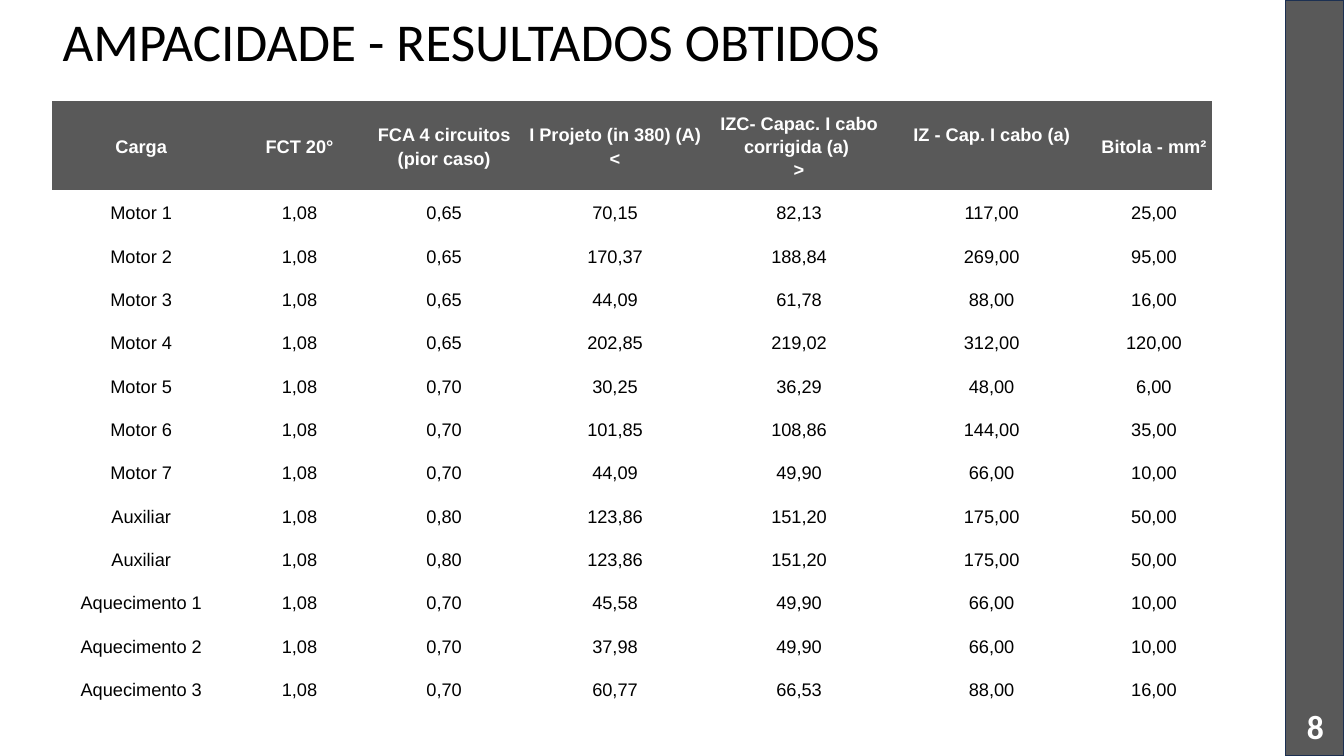
from dataclasses import dataclass

from pptx import Presentation
from pptx.dml.color import RGBColor
from pptx.enum.shapes import MSO_SHAPE
from pptx.enum.text import MSO_ANCHOR, MSO_AUTO_SIZE, PP_ALIGN
from pptx.oxml.ns import qn
from pptx.util import Inches, Pt

# Content
TITLE = "AMPACIDADE - RESULTADOS OBTIDOS"
PAGE = "8"
HEADER = [
    "Carga", "FCT 20°", "FCA 4 circuitos (pior caso)", "I Projeto (in 380) (A) <",
    "IZC- Capac. I cabo corrigida (a) \n>", "IZ - Cap. I cabo (a)", "Bitola - mm²",
]
LOADS = [
    ("Motor 1", "1,08", "0,65", "70,15", "82,13", "117,00", "25,00"),
    ("Motor 2", "1,08", "0,65", "170,37", "188,84", "269,00", "95,00"),
    ("Motor 3", "1,08", "0,65", "44,09", "61,78", "88,00", "16,00"),
    ("Motor 4", "1,08", "0,65", "202,85", "219,02", "312,00", "120,00"),
    ("Motor 5", "1,08", "0,70", "30,25", "36,29", "48,00", "6,00"),
    ("Motor 6", "1,08", "0,70", "101,85", "108,86", "144,00", "35,00"),
    ("Motor 7", "1,08", "0,70", "44,09", "49,90", "66,00", "10,00"),
    ("Auxiliar", "1,08", "0,80", "123,86", "151,20", "175,00", "50,00"),
    ("Auxiliar", "1,08", "0,80", "123,86", "151,20", "175,00", "50,00"),
    ("Aquecimento 1", "1,08", "0,70", "45,58", "49,90", "66,00", "10,00"),
    ("Aquecimento 2", "1,08", "0,70", "37,98", "49,90", "66,00", "10,00"),
    ("Aquecimento 3", "1,08", "0,70", "60,77", "66,53", "88,00", "16,00"),
]
COL_WIDTHS = [1.76, 1.38, 1.49, 1.9, 1.75, 2.07, 1.15]
HEADER_HEIGHT, ROW_HEIGHT = 0.89, 0.43
HEADER_MARGIN, ROW_MARGIN = 0.07, 0.09
RAISED_COLUMN, RAISED_MARGIN = 5, 0.3  # this heading sits above centre
PLAIN_TABLE = "{2D5ABB26-0587-4C30-8999-92F81FD0307C}"  # no style, no grid


@dataclass(frozen=True)
class Theme:
    black: RGBColor = RGBColor(0, 0, 0)
    white: RGBColor = RGBColor(255, 255, 255)
    gray: RGBColor = RGBColor(0x59, 0x59, 0x59)
    navy: RGBColor = RGBColor(0x1C, 0x30, 0x52)
    heading: str = "Calibri"
    body: str = "Arial"
    title_size: Pt = Pt(38)
    page_size: Pt = Pt(24)
    table_size: Pt = Pt(13)


THEME = Theme()


def style(p, font, size, color, bold=False, align=PP_ALIGN.CENTER, spacing=1.0):
    p.alignment = align
    p.line_spacing = spacing
    p.font.name, p.font.size, p.font.bold = font, size, bold
    p.font.color.rgb = color


def add_title(slide):
    sp = slide.shapes.title
    sp.left, sp.top, sp.width, sp.height = map(Inches, (0.52, 0.1, 11.03, 0.89))
    tf = sp.text_frame
    tf.text = TITLE
    tf.auto_size = MSO_AUTO_SIZE.NONE
    tf.vertical_anchor = MSO_ANCHOR.TOP
    style(tf.paragraphs[0], THEME.heading, THEME.title_size, THEME.black,
          align=PP_ALIGN.LEFT, spacing=0.9)


def add_side_bar(slide):
    bar = slide.shapes.add_shape(MSO_SHAPE.RECTANGLE, *map(Inches, (12.75, 0, 0.58, 7.5)))
    bar.shadow.inherit = False
    bar.fill.solid()
    bar.fill.fore_color.rgb = THEME.gray
    bar.line.color.rgb = THEME.navy
    bar.line.width = Pt(1)

    # Page number at the foot of the bar
    tf = slide.shapes.add_textbox(*map(Inches, (12.79, 6.9, 0.51, 0.6))).text_frame
    tf.word_wrap = True
    tf.vertical_anchor = MSO_ANCHOR.MIDDLE
    tf.text = PAGE
    style(tf.paragraphs[0], THEME.heading, THEME.page_size, THEME.white, bold=True)


def fill_cell(cell, text, is_header):
    cell.text = text
    cell.vertical_anchor = MSO_ANCHOR.MIDDLE
    cell.margin_left = cell.margin_right = Inches(0.03)
    cell.margin_top = cell.margin_bottom = Inches(HEADER_MARGIN if is_header else ROW_MARGIN)
    if is_header:
        cell.fill.solid()
        cell.fill.fore_color.rgb = THEME.gray
    else:
        cell.fill.background()
    for p in cell.text_frame.paragraphs:
        style(p, THEME.body, THEME.table_size, THEME.white if is_header else THEME.black,
              bold=is_header, spacing=1.15)


def add_results(slide):
    rows = [HEADER, *LOADS]
    heights = [HEADER_HEIGHT] + [ROW_HEIGHT] * len(LOADS)
    frame = slide.shapes.add_table(
        len(rows), len(HEADER), Inches(0.52), Inches(1),
        Inches(sum(COL_WIDTHS)), Inches(sum(heights)))
    table = frame.table
    table.horz_banding = False
    next(frame.element.iter(qn("a:tableStyleId"))).text = PLAIN_TABLE
    for column, width in zip(table.columns, COL_WIDTHS):
        column.width = Inches(width)
    for i, (row, height) in enumerate(zip(rows, heights)):
        table.rows[i].height = Inches(height)
        for j, text in enumerate(row):
            fill_cell(table.cell(i, j), text, i == 0)
    table.cell(0, RAISED_COLUMN).margin_bottom = Inches(RAISED_MARGIN)


def main():
    prs = Presentation()
    prs.slide_width, prs.slide_height = Inches(13.33), Inches(7.5)
    slide = prs.slides.add_slide(prs.slide_layouts[0])
    subtitle = slide.placeholders[1].element
    subtitle.getparent().remove(subtitle)
    add_title(slide)
    add_side_bar(slide)
    add_results(slide)
    prs.save("out.pptx")


if __name__ == "__main__":
    main()
